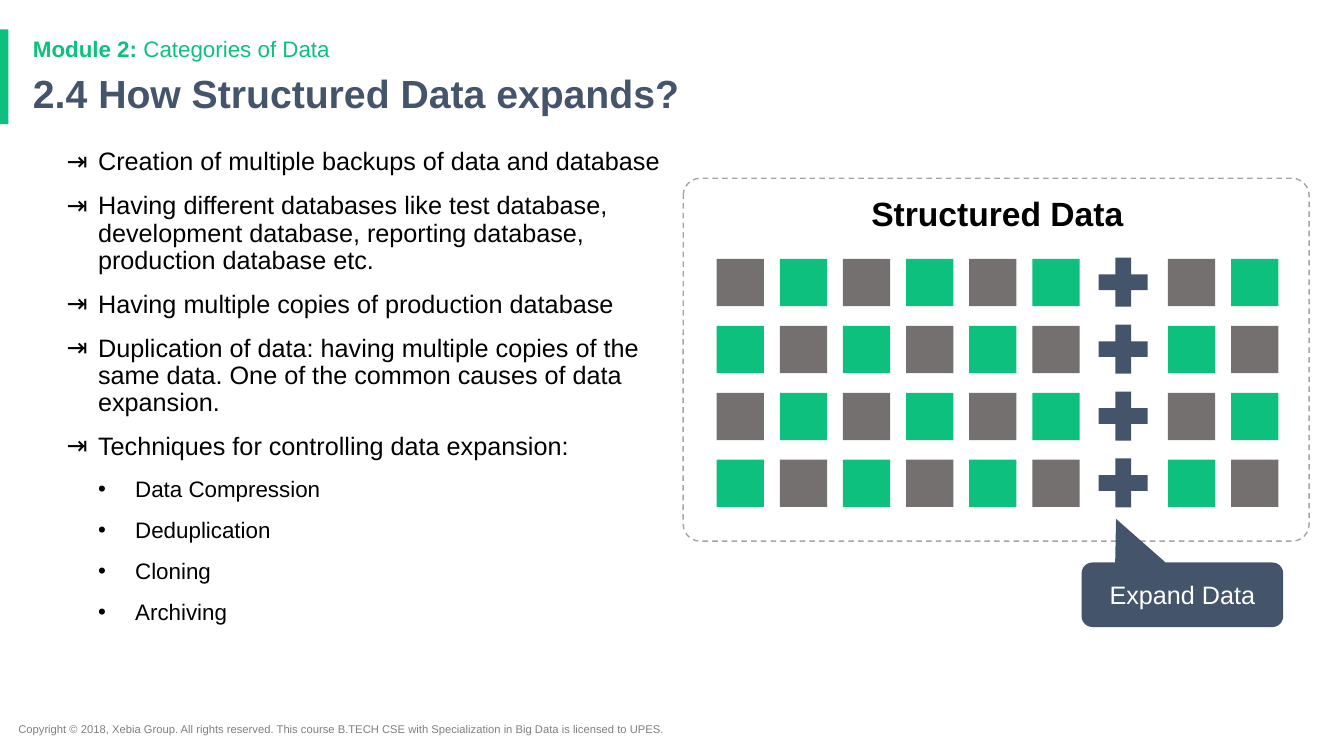
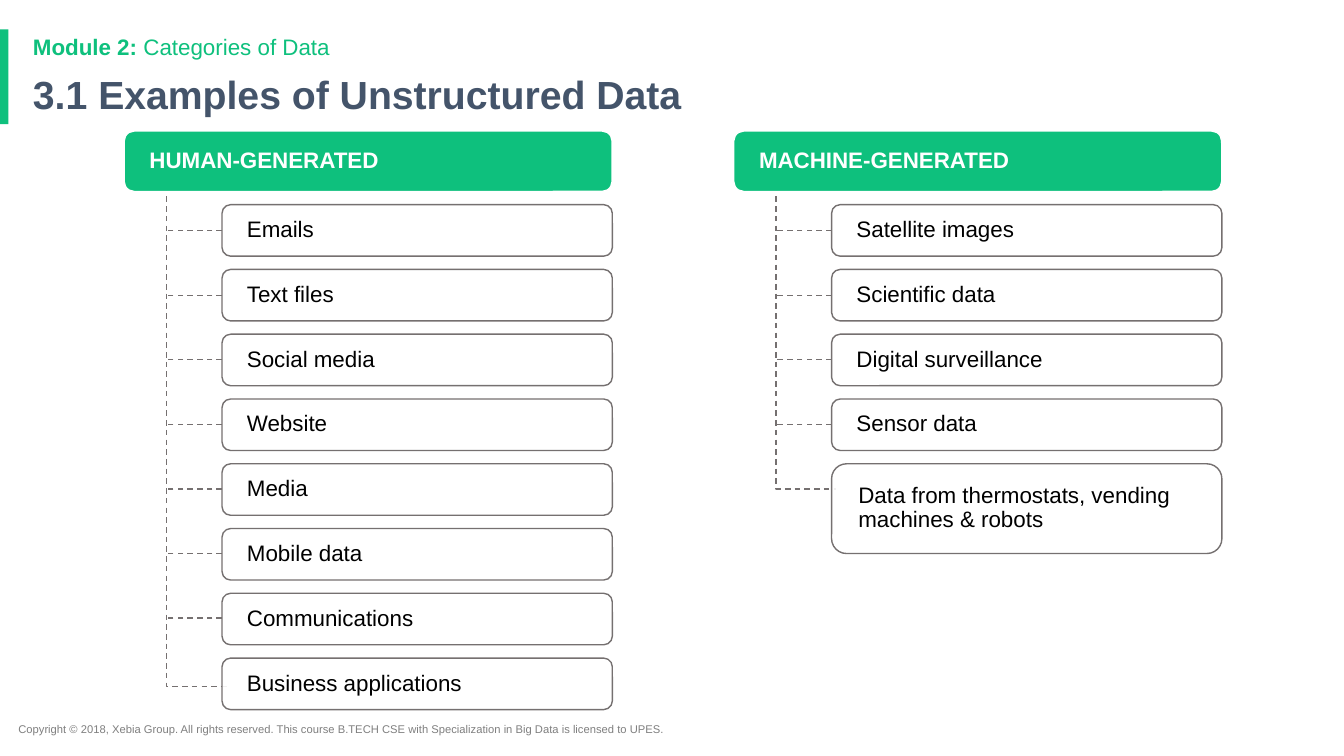
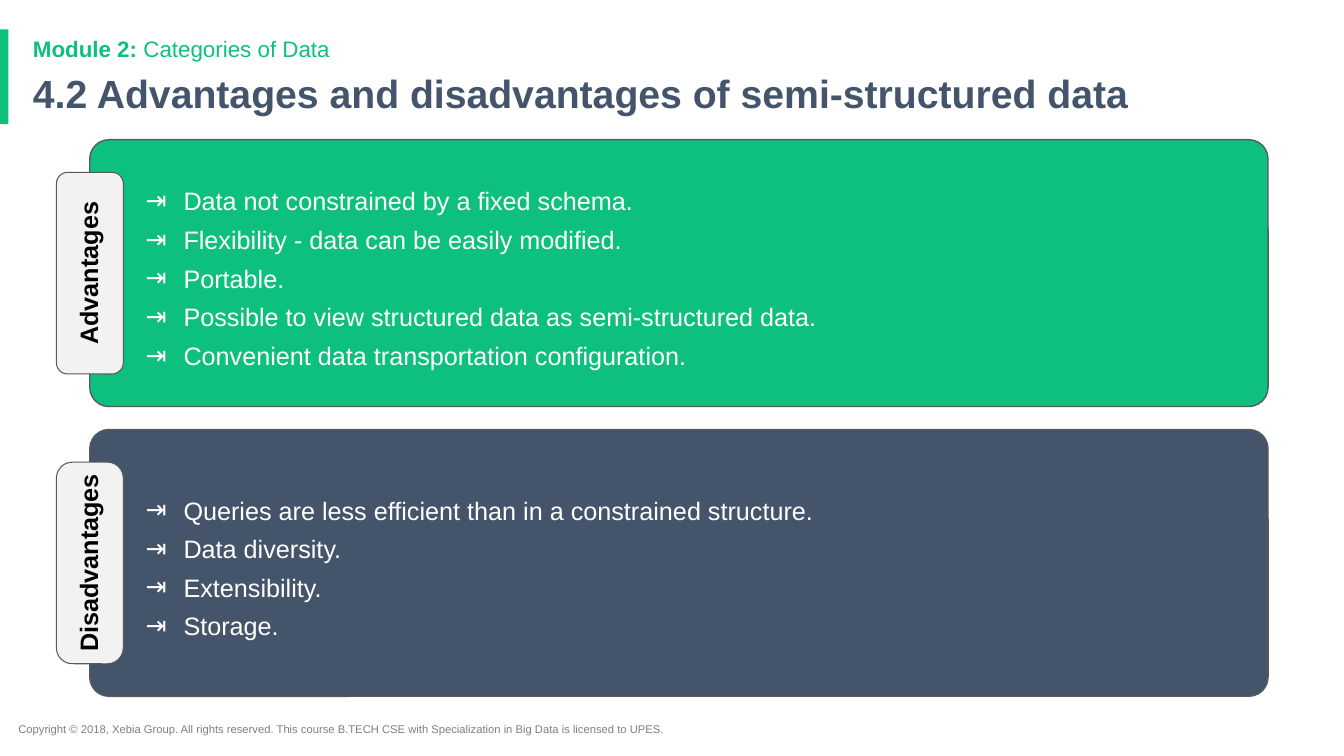
from lxml.etree import SubElement
from pptx import Presentation
from pptx.dml.color import RGBColor
from pptx.enum.dml import MSO_LINE
from pptx.enum.shapes import MSO_CONNECTOR, MSO_SHAPE as SHAPE
from pptx.enum.text import MSO_ANCHOR as ANCHOR, PP_ALIGN as ALIGN
from pptx.oxml.ns import qn
from pptx.util import Pt

# Shared look
FONT = "Arial"
GREEN, SLATE, GREY = "0EC07D", "44546A", "757070"
BLACK, WHITE, OUTLINE = "000000", "FFFFFF", "595959"
INSETS = (7.2, 3.6, 7.2, 3.6)
COPYRIGHT = ("Copyright © 2018, Xebia Group. All rights reserved. This course "
             "B.TECH CSE with Specialization in Big Data is licensed to UPES.")


def rgb(color):
    return RGBColor.from_string(color)


# Text
def style_span(span, size, color, bold=False):
    span.font.name = FONT
    span.font.size = Pt(size)
    span.font.bold = bold
    span.font.color.rgb = rgb(color)


def set_frame(box, anchor, insets=INSETS):
    frame = box.text_frame
    frame.word_wrap = True
    frame.vertical_anchor = anchor
    (frame.margin_left, frame.margin_top,
     frame.margin_right, frame.margin_bottom) = map(Pt, insets)
    return frame


def write(box, text, size, color, bold=False, align=ALIGN.LEFT,
          anchor=ANCHOR.MIDDLE, insets=INSETS, spacing=1.0):
    frame = set_frame(box, anchor, insets)
    frame.text = text
    para = frame.paragraphs[0]
    para.alignment = align
    para.line_spacing = spacing
    style_span(para.runs[0], size, color, bold)
    return para


def add_bullet(para, mark, color, left, hanging):
    props = para._p.get_or_add_pPr()
    props.set("marL", str(Pt(left)))
    props.set("indent", str(-Pt(hanging)))
    tint = SubElement(props, qn("a:buClr"))
    SubElement(tint, qn("a:srgbClr")).set("val", color)
    SubElement(props, qn("a:buFont")).set("typeface", FONT)
    SubElement(props, qn("a:buChar")).set("char", mark)


def write_bullets(frame, items, color, gap, spacing=1.0):
    """Each item is (text, size, mark, left indent, hanging indent)."""
    for index, (text, size, mark, left, hanging) in enumerate(items):
        para = frame.add_paragraph() if index else frame.paragraphs[0]
        para.text = text
        para.alignment = ALIGN.LEFT
        add_bullet(para, mark, color, left, hanging)
        para.line_spacing = spacing
        if index:
            para.space_before = Pt(gap)
        style_span(para.runs[0], size, color)


# Shapes
def add_text_box(page, left, top, width, height):
    return page.shapes.add_textbox(Pt(left), Pt(top), Pt(width), Pt(height))


def set_line(line, color, width=1, dashed=False):
    line.color.rgb = rgb(color)
    line.width = Pt(width)
    if dashed:
        line.dash_style = MSO_LINE.DASH


def add_shape(page, kind, left, top, width, height, fill, line=None,
              line_width=1, dashed=False, adjust=()):
    shape = page.shapes.add_shape(kind, Pt(left), Pt(top), Pt(width), Pt(height))
    shape.shadow.inherit = False
    shape.fill.solid()
    shape.fill.fore_color.rgb = rgb(fill)
    if line:
        set_line(shape.line, line, line_width, dashed)
    else:
        shape.line.fill.background()
    for index, value in enumerate(adjust):
        shape.adjustments[index] = value
    return shape


def set_opacity(shape, percent):
    tint = shape.element.spPr.find(qn("a:solidFill")).find(qn("a:srgbClr"))
    SubElement(tint, qn("a:alpha")).set("val", str(percent * 1000))


def add_branch(page, start_x, end_x, y):
    branch = page.shapes.add_connector(
        MSO_CONNECTOR.STRAIGHT, Pt(start_x), Pt(y), Pt(end_x), Pt(y))
    set_line(branch.line, GREY, dashed=True)
    SubElement(branch.element.spPr, qn("a:effectLst"))


def add_trunk(page, left, top, right, bottom):
    builder = page.shapes.build_freeform(Pt(left), Pt(top))
    builder.add_line_segments(
        [(Pt(left), Pt(bottom)), (Pt(right), Pt(bottom))], close=False)
    trunk = builder.convert_to_shape()
    trunk.shadow.inherit = False
    trunk.fill.background()
    set_line(trunk.line, GREY, dashed=True)


# Frame common to all slides
def add_page(deck, title, anchor=ANCHOR.TOP):
    page = deck.slides.add_slide(deck.slide_layouts[6])
    add_shape(page, SHAPE.RECTANGLE, 0, 21, 6, 67.6, GREEN)
    write(add_text_box(page, 6, 512.6, 513.4, 17.3), COPYRIGHT, 8, "7F7F7F",
          anchor=ANCHOR.TOP)
    write(add_text_box(page, 16.5, 49.7, 828, 38.9), title, 28, SLATE, True,
          anchor=anchor, spacing=0.9)
    module = write(add_text_box(page, 16.5, 21.6, 828, 23.8), "Module 2:",
                   16, GREEN, True, anchor=anchor)
    span = module.add_run()
    span.text = " Categories of Data"
    style_span(span, 16, GREEN)
    return page


# Slide 1
def add_data_grid(page):
    add_shape(page, SHAPE.ROUNDED_RECTANGLE, 488, 127.4, 447.1, 259.2, WHITE,
              "A5A5A5", dashed=True, adjust=[0.047])
    write(add_text_box(page, 511.9, 133.9, 401, 56.9), "Structured Data", 24,
          BLACK, True, ALIGN.CENTER, ANCHOR.TOP)
    callout = add_shape(page, SHAPE.ROUNDED_RECTANGULAR_CALLOUT, 772.6, 401.8,
                        144, 46.1, SLATE, adjust=[-0.329, -1.176, 0.167])
    write(callout, "Expand Data", 18, WHITE, align=ALIGN.CENTER)

    pitch = 45.1
    lefts = [511.9 + pitch * column for column in range(6)]
    lefts += [834.3, 834.3 + pitch]
    for row in range(4):
        top = 185 + 47.8 * row
        for column, left in enumerate(lefts):
            color = GREEN if (row + column) % 2 else GREY
            add_shape(page, SHAPE.RECTANGLE, left, top, 33.8, 33.8, color)
        add_shape(page, SHAPE.MATH_PLUS, 778.5, top - 7.2, 47.6, 47.6, SLATE,
                  adjust=[0.235])


def build_expansion(deck):
    page = add_page(deck, "2.4 How Structured Data expands?")
    causes = [
        "Creation of multiple backups of data and database",
        "Having different databases like test database, development database, "
        "reporting database, production database etc.",
        "Having multiple copies of production database",
        "Duplication of data: having multiple copies of the same data. One of "
        "the common causes of data expansion.",
        "Techniques for controlling data expansion:",
    ]
    techniques = ["Data Compression", "Deduplication", "Cloning", "Archiving"]
    items = [(text, 18, "⇥", 22.5, 22.5) for text in causes]
    items += [(text, 16, "•", 49, 26.5) for text in techniques]
    box = add_text_box(page, 40.5, 103, 460, 392.4)
    write_bullets(set_frame(box, ANCHOR.TOP), items, BLACK, 12, 0.9)
    add_data_grid(page)


# Slide 2
def add_tree(page, left, heading, items, trunk_bottom, last_height=36.8):
    trunk_x, item_x = left + 30.2, left + 69.9
    last = len(items) - 1
    add_trunk(page, trunk_x, 133.4, trunk_x + 43.2, trunk_bottom)
    for index, text in enumerate(items):
        if index < last:
            add_branch(page, item_x, trunk_x, 164.8 + 46.1 * index)
        height = last_height if index == last else 36.8
        item = add_shape(page, SHAPE.ROUNDED_RECTANGLE, item_x,
                         146.2 + 46.27 * index, 278.8, height, WHITE, GREY)
        set_opacity(item, 90)
        write(item, text, 16, BLACK, insets=(16, 1.6, 2.2, 1.6), spacing=0.9)
    header = add_shape(page, SHAPE.ROUNDED_RECTANGLE, left, 93.6, 348.6, 43.2,
                       GREEN, WHITE)
    write(header, heading, 16, WHITE, True, insets=(16, 2.2, 2.9, 2.2),
          spacing=0.9)


def build_examples(deck):
    page = add_page(deck, "3.1 Examples of Unstructured Data", ANCHOR.MIDDLE)
    add_tree(page, 88.7, "HUMAN-GENERATED",
             ["Emails", "Text files", "Social media", "Website", "Media",
              "Mobile data", "Communications", "Business applications"], 490.3)
    add_tree(page, 524.1, "MACHINE-GENERATED",
             ["Satellite images", "Scientific data", "Digital surveillance",
              "Sensor data", "Data from thermostats, vending machines & robots"],
             349.2, last_height=64.1)


# Slide 3
def add_panel(page, top, color, label, label_corner, texts):
    panel = add_shape(page, SHAPE.ROUNDED_RECTANGLE, 64.1, top, 841.7, 190.6,
                      color, OUTLINE, adjust=[0.072])
    frame = set_frame(panel, ANCHOR.MIDDLE, (36, 14.4, 7.2, 7.2))
    items = [(text, 18, "⇥", 27, 27) for text in texts]
    write_bullets(frame, items, WHITE, 6)
    frame.paragraphs[-1].space_after = Pt(6)
    tab = add_shape(page, SHAPE.ROUNDED_RECTANGLE, -7.8, top + 71.4, 144, 47.8,
                    "F2F2F2", OUTLINE, 0.75, adjust=[label_corner])
    tab.rotation = 270
    write(tab, label, 18, BLACK, True, ALIGN.CENTER, insets=(0, 0, 0, 0),
          spacing=0.9)


def build_comparison(deck):
    page = add_page(
        deck, "4.2 Advantages and disadvantages of semi-structured data")
    add_panel(page, 99.8, GREEN, "Advantages", 0.167,
              ["Data not constrained by a fixed schema.",
               "Flexibility - data can be easily modified.",
               "Portable.",
               "Possible to view structured data as semi-structured data.",
               "Convenient data transportation configuration."])
    add_panel(page, 306.8, SLATE, "Disadvantages", 0.237,
              ["Queries are less efficient than in a constrained structure.",
               "Data diversity.",
               "Extensibility.",
               "Storage."])


def main():
    deck = Presentation()
    deck.slide_width, deck.slide_height = Pt(960), Pt(540)
    build_expansion(deck)
    build_examples(deck)
    build_comparison(deck)
    deck.save("out.pptx")


if __name__ == "__main__":
    main()
